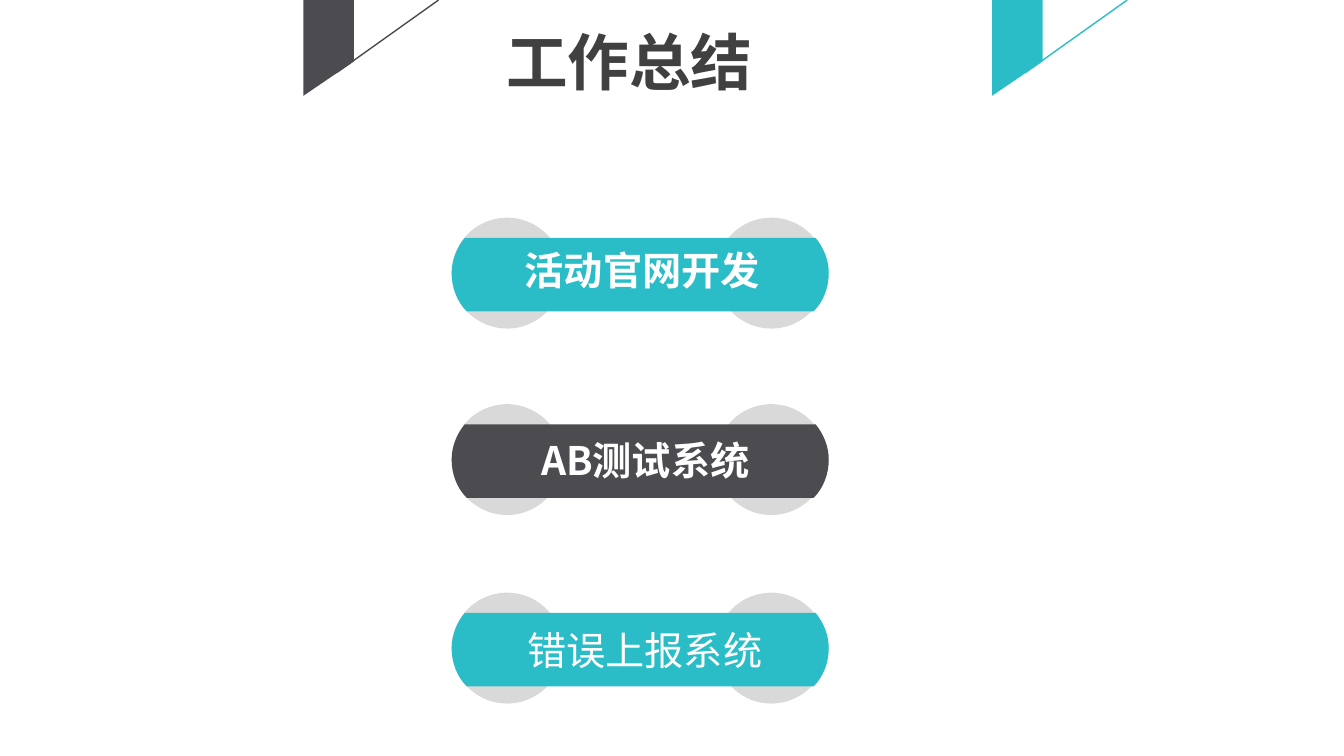
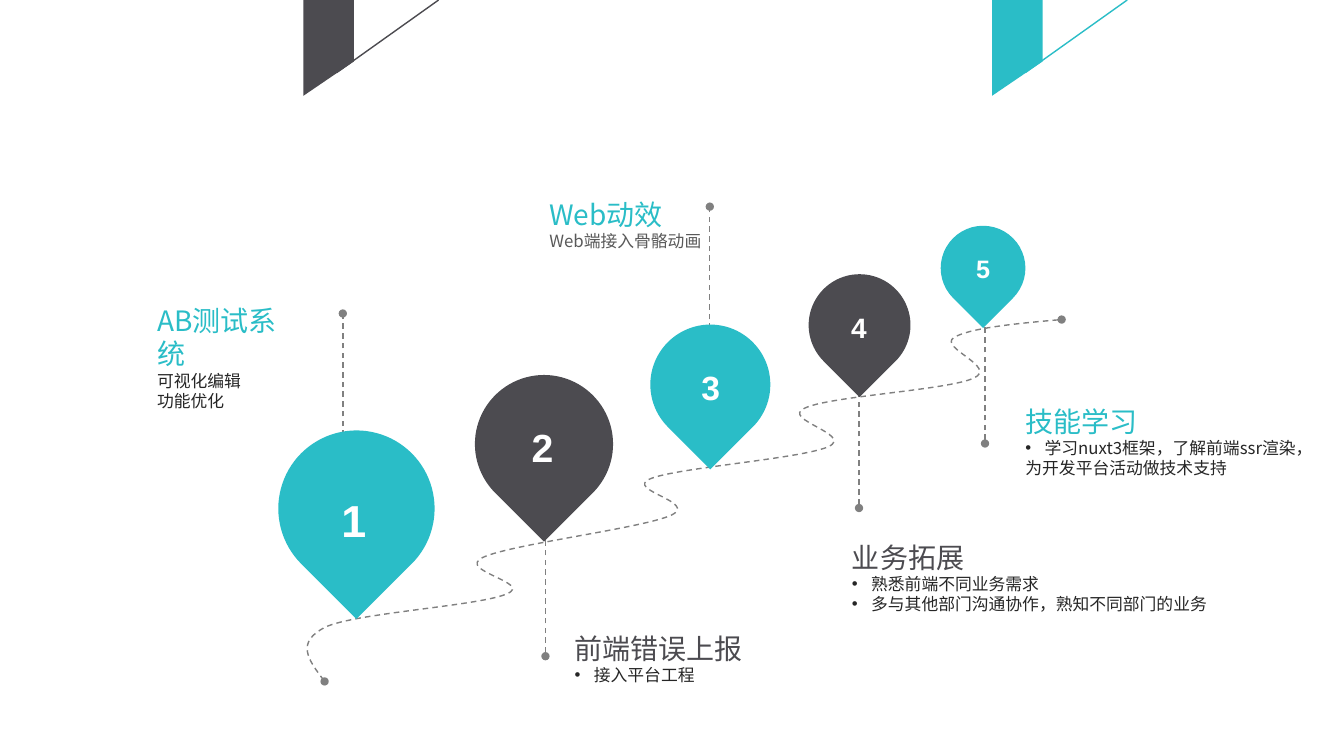
from dataclasses import dataclass

import lxml.etree
import pptx
import pptx.dml.color
import pptx.enum.dml
import pptx.enum.shapes
import pptx.enum.text
import pptx.oxml.ns
import pptx.util

SCALE = 9144  # EMU in one px, 100 px to the inch
KIND = pptx.enum.shapes.MSO_SHAPE
ALIGN = pptx.enum.text.PP_ALIGN
ANCHOR = pptx.enum.text.MSO_ANCHOR


@dataclass(frozen=True)
class Theme:
    teal: str = "2ABDC7"
    dark: str = "4C4B50"
    gray: str = "808080"
    pale: str = "D9D9D9"
    white: str = "FFFFFF"
    title: str = "404040"
    text: str = "262626"
    soft: str = "595959"
    font: str = "Noto Sans CJK SC"
    digit: str = "Arial"
    big: int = 44
    label: int = 28
    head: int = 20
    body: int = 12


THEME = Theme()


def px(*vals):
    return [pptx.util.Emu(round(v * SCALE)) for v in vals]


def rgb(code):
    return pptx.dml.color.RGBColor.from_string(code)


def node(parent, tag, **attrs):
    return lxml.etree.SubElement(parent, pptx.oxml.ns.qn(tag), attrs)


def write(para, text, size=THEME.body, color=THEME.text, bold=False,
          font=THEME.font, align=ALIGN.LEFT, dot=False):
    """Fill one paragraph with text in the given format."""
    para.alignment, para.line_spacing = align, 1.0
    para.space_before = para.space_after = pptx.util.Pt(0)
    props = para._p.get_or_add_pPr()
    left = px(19 if dot else 0)[0]
    props.set("marL", str(left))
    props.set("indent", str(-left))
    if dot:
        node(props, "a:buChar", char="•")
    else:
        node(props, "a:buNone")
    run = para.add_run()
    run.text = text
    run.font.size, run.font.bold = pptx.util.Pt(size), bold
    run.font.name = font
    run.font.color.rgb = rgb(color)
    node(run._r.get_or_add_rPr(), "a:ea", typeface=font)


class Deck:
    def __init__(self, theme):
        self.theme = theme
        self.file = pptx.Presentation()
        self.file.slide_width, self.file.slide_height = px(1333, 750)

    # Slides and what they share
    def start(self, layout):
        self.slide = self.file.slides.add_slide(
            self.file.slide_layouts.get_by_name(layout))
        self.shapes = self.slide.shapes
        self.holds = [h for h in self.slide.placeholders
                      if h != self.shapes.title]
        for left, color in ((301, self.theme.dark), (984, self.theme.teal)):
            self.form((left, 0), [(left + 50, 0), (left + 50, 61),
                                  (left, 95)], color)
            self.line((left + 33, 72), (left + 134, 0), color)

    def clean(self):
        for hold in list(self.slide.placeholders):
            if not hold.text_frame.text:
                hold._element.getparent().remove(hold._element)

    # Shapes
    def paint(self, shape, color):
        shape.shadow.inherit = False
        shape.fill.solid()
        shape.fill.fore_color.rgb = rgb(color)
        shape.line.fill.background()

    def shape(self, kind, box, color, turn=0):
        item = self.shapes.add_shape(kind, *px(*box))
        item.rotation = turn
        self.paint(item, color)

    def trace(self, start, parts, close):
        """Outline of points (lines) and point triples (cubic curves)."""
        curved = [isinstance(part[0], tuple) for part in parts]
        pts = [p for part, curve in zip(parts, curved)
               for p in (part if curve else (part,))]
        pen = self.shapes.build_freeform(*start, scale=SCALE)
        pen.add_line_segments(pts, close=close)
        item = pen.convert_to_shape()
        legs = iter(list(item._element.iter(pptx.oxml.ns.qn("a:lnTo"))))
        for curve in curved:
            leg = next(legs)
            if curve:
                bend = lxml.etree.Element(pptx.oxml.ns.qn("a:cubicBezTo"))
                leg.addprevious(bend)
                for old in (leg, next(legs), next(legs)):
                    bend.append(old[0])
                    old.getparent().remove(old)
        return item

    def form(self, start, parts, color):
        self.paint(self.trace(start, parts, True), color)

    # Lines
    def stroke(self, line, color, dash):
        line.color.rgb = rgb(color)
        line.width = pptx.util.Pt(1)
        if dash:
            line.dash_style = pptx.enum.dml.MSO_LINE.DASH
            for end in ("a:headEnd", "a:tailEnd"):
                node(line._get_or_add_ln(), end, type="oval")

    def line(self, start, end, color, dash=False):
        item = self.shapes.add_connector(
            pptx.enum.shapes.MSO_CONNECTOR.STRAIGHT, *px(*start, *end))
        self.stroke(item.line, color, dash)
        node(item._element.spPr, "a:effectLst")

    def road(self, start, parts):
        item = self.trace(start, parts, False)
        item.shadow.inherit = False
        item.fill.background()
        self.stroke(item.line, self.theme.gray, True)

    # Text
    def frame(self, box, hold=None, anchor=ANCHOR.TOP):
        item = hold or self.shapes.add_textbox(*px(*box))
        item.left, item.top, item.width, item.height = px(*box)
        frame = item.text_frame
        frame.word_wrap = True
        frame.auto_size = pptx.enum.text.MSO_AUTO_SIZE.NONE
        frame.vertical_anchor = anchor
        return frame

    def title(self, text, box):
        frame = self.frame(box, self.shapes.title, ANCHOR.MIDDLE)
        write(frame.paragraphs[0], text, size=self.theme.big,
              color=self.theme.title, bold=True)

    def label(self, text, box, **form):
        frame = self.frame(box, anchor=ANCHOR.MIDDLE)
        write(frame.paragraphs[0], text, color=self.theme.white,
              align=ALIGN.CENTER, **form)

    def note(self, box, head, lines, color, dots=0, tint=THEME.text):
        """Heading and lines, the first few of them with dots."""
        frame = self.frame(box, self.holds.pop(0) if dots else None)
        write(frame.paragraphs[0], head, size=self.theme.head, color=color)
        for i, text in enumerate(lines):
            write(frame.add_paragraph(), text, color=tint, dot=i < dots)

    # Parts made of several shapes
    def pill(self, top, text, color, bold, box):
        for left in (448, 710):
            self.shape(KIND.OVAL, (left, top, 110, 110), self.theme.pale)
        mid = top + 55
        side = ((42, -35), (50, -25), (55, -13), (55, 0),
                (55, 14), (50, 28), (40, 38))
        right = [(767 + x, mid + y) for x, y in side]
        left = [(503 - x, mid + y) for x, y in reversed(side)]
        self.form(right[0], [right[1:4], right[4:], left[0], left[1:4],
                             left[4:]], color)
        self.label(text, box, size=self.theme.label, bold=bold)

    def pin(self, text, left, top, wide, spot, size, color):
        self.shape(KIND.TEAR, (left, top, wide, wide), color, 135)
        x, y = spot
        self.label(text, (x - 50, y - 32, 100, 64), size=size, bold=True,
                   font=self.theme.digit)


def summary(deck):
    look = deck.theme
    deck.start("Title Only")
    deck.title("工作总结", (492, 18, 268, 84))
    for top, text, color, bold, box in (
            (216, "活动官网开发", look.teal, True, (459, 239, 356, 57)),
            (401, "AB测试系统", look.dark, True, (463, 428, 354, 57)),
            (588, "错误上报系统", look.teal, False, (462, 616, 355, 57))):
        deck.pill(top, text, color, bold, box)
    deck.clean()


def plan(deck):
    look = deck.theme
    deck.start("Comparison")

    # Leaders and road
    for x, top in ((340, 311), (541, 526), (852, 379), (977, 315),
                   (704, 205)):
        deck.line((x, top + 125), (x, top), look.gray, dash=True)
    deck.road((1053, 317), (
        ((1006, 321), (960, 326), (946, 335)),
        ((931, 345), (990, 364), (966, 375)),
        ((941, 387), (822, 393), (798, 405)),
        ((774, 416), (847, 431), (822, 443)),
        ((796, 455), (671, 464), (645, 475)),
        ((619, 486), (693, 498), (666, 511)),
        ((638, 524), (506, 540), (479, 553)),
        ((452, 566), (529, 578), (503, 589)),
        ((477, 601), (353, 608), (323, 622)),
        ((293, 637), (307, 656), (322, 676))))

    # Pins
    for pin in (("5", 933, 224, 84, (975, 266), 18, look.teal),
                ("4", 802, 272, 101, (852, 325), 20, look.dark),
                ("3", 645, 322, 119, (705, 384), 24, look.teal),
                ("2", 471, 372, 137, (538, 443), 28, look.dark),
                ("1", 276, 427, 155, (351, 515), 32, look.teal)):
        deck.pin(*pin)

    # Notes
    deck.note((535, 191, 175, 64), "Web动效", ["Web端接入骨骼动画"],
              look.teal, tint=look.soft)
    deck.note((1007, 396, 320, 84), "技能学习",
              ["学习nuxt3框架，了解前端ssr渲染，", "为开发平台活动做技术支持"],
              look.teal, dots=1)
    deck.note((835, 531, 380, 84), "业务拓展",
              ["熟悉前端不同业务需求", "多与其他部门沟通协作，熟知不同部门的业务"],
              look.dark, dots=2)
    deck.note((560, 621, 188, 64), "前端错误上报", ["接入平台工程"],
              look.dark, dots=1)
    deck.note((146, 296, 160, 138), "AB测试系统", ["可视化编辑", "功能优化"],
              look.teal)
    deck.clean()


def main():
    deck = Deck(THEME)
    summary(deck)
    plan(deck)
    deck.file.save("out.pptx")


if __name__ == "__main__":
    main()
